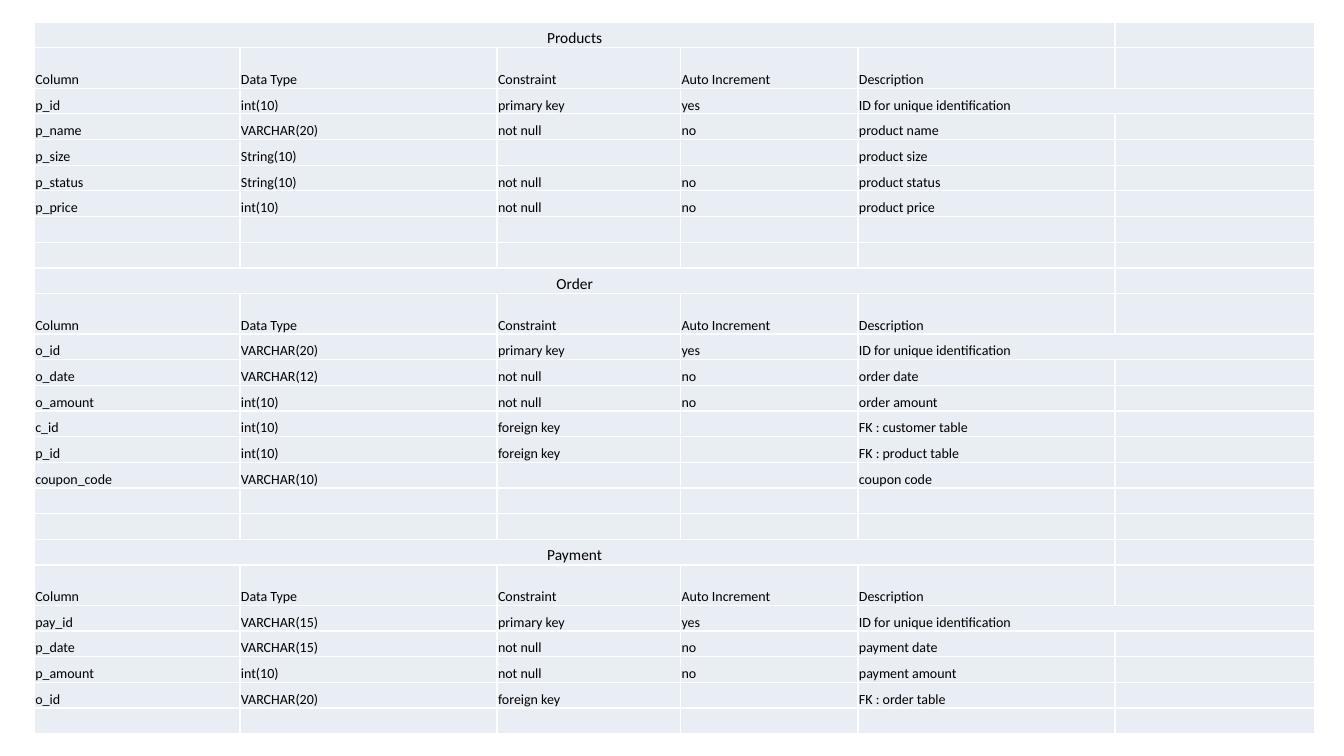
from dataclasses import dataclass

from lxml import etree
from pptx import Presentation, util as u
from pptx.dml.color import RGBColor
from pptx.enum import text
from pptx.oxml.ns import qn

HEADINGS = ("Column", "Data Type", "Constraint", "Auto Increment", "Description")
ID_NOTE = "ID for unique identification"

# (title, fields, empty rows after the fields)
SECTIONS = [
    ("Products", [
        ("p_id", "int(10)", "primary key", "yes", ID_NOTE),
        ("p_name", "VARCHAR(20)", "not null", "no", "product name"),
        ("p_size", "String(10)", "", "", "product size"),
        ("p_status", "String(10)", "not null", "no", "product status"),
        ("p_price", "int(10)", "not null", "no", "product price"),
    ], 2),
    ("Order", [
        ("o_id", "VARCHAR(20)", "primary key", "yes", ID_NOTE),
        ("o_date", "VARCHAR(12)", "not null", "no", "order date"),
        ("o_amount", "int(10)", "not null", "no", "order amount"),
        ("c_id", "int(10)", "foreign key", "", "FK : customer table"),
        ("p_id", "int(10)", "foreign key", "", "FK : product table"),
        ("coupon_code", "VARCHAR(10)", "", "", "coupon code"),
    ], 2),
    ("Payment", [
        ("pay_id", "VARCHAR(15)", "primary key", "yes", ID_NOTE),
        ("p_date", "VARCHAR(15)", "not null", "no", "payment date"),
        ("p_amount", "int(10)", "not null", "no", "payment amount"),
        ("o_id", "VARCHAR(20)", "foreign key", "", "FK : order table"),
    ], 1),
]

SLIDE = (13.33, 7.5)
LEFT, TOP, HEIGHT = 0.34, 0.22, 7.06
COLUMNS = (2.04, 2.55, 1.82, 1.76, 2.55, 1.98)
HEADING_HEIGHT = 0.4


@dataclass(frozen=True)
class Theme:
    font: str = "Calibri"
    ink: str = "000000"
    fill: str = "E9EDF4"
    rule: str = "FFFFFF"
    title_size: int = 11
    body_size: int = 10
    rule_width: int = 1
    inset: float = 0.01


THEME = Theme()


def write(cell, words, size=THEME.body_size, align=text.PP_ALIGN.LEFT):
    cell.vertical_anchor = text.MSO_ANCHOR.BOTTOM
    cell.margin_left = cell.margin_right = cell.margin_top = u.Inches(THEME.inset)
    cell.margin_bottom = 0
    p = cell.text_frame.paragraphs[0]
    p.alignment = align
    if words:
        r = p.add_run()
        r.text = words
        r.font.name = THEME.font
        r.font.size = u.Pt(size)
        r.font.color.rgb = RGBColor.from_string(THEME.ink)
    else:
        # An empty cell needs its own type size, or its row grows.
        etree.SubElement(p._p, qn("a:endParaRPr"), sz=str(size * 100))


def paint(cell):
    """Give the cell ruled sides and a plain fill."""
    tc_pr = cell._tc.get_or_add_tcPr()
    for side in ("lnL", "lnR", "lnT", "lnB"):
        ln = etree.SubElement(tc_pr, qn(f"a:{side}"), w=str(u.Pt(THEME.rule_width)))
        solid = etree.SubElement(ln, qn("a:solidFill"))
        etree.SubElement(solid, qn("a:srgbClr"), val=THEME.rule)
    cell.fill.solid()
    cell.fill.fore_color.rgb = RGBColor.from_string(THEME.fill)


def layout_rows():
    """List every table row as (kind, texts)."""
    rows = []
    for title, fields, gap in SECTIONS:
        rows += [("title", (title,)), ("heading", HEADINGS)]
        rows += [("field", field) for field in fields]
        rows += [("gap", ())] * gap
    return rows


def main():
    prs = Presentation()
    prs.slide_width, prs.slide_height = map(u.Inches, SLIDE)
    s = prs.slides.add_slide(prs.slide_layouts[6])

    rows = layout_rows()
    headings = len(SECTIONS)
    row_height = (HEIGHT - headings * HEADING_HEIGHT) / (len(rows) - headings)
    table = s.shapes.add_table(
        len(rows), len(COLUMNS), u.Inches(LEFT), u.Inches(TOP),
        u.Inches(sum(COLUMNS)), u.Inches(HEIGHT)).table
    table.first_row = table.horz_banding = False
    for column, width in zip(table.columns, COLUMNS):
        column.width = u.Inches(width)

    last = len(COLUMNS) - 1
    for i, (kind, texts) in enumerate(rows):
        is_title = kind == "title"
        table.rows[i].height = u.Inches(
            HEADING_HEIGHT if kind == "heading" else row_height)
        for j in range(len(COLUMNS)):
            cell = table.cell(i, j)
            paint(cell)
            write(cell, texts[j] if j < len(texts) else "",
                  size=THEME.title_size if is_title else THEME.body_size,
                  align=text.PP_ALIGN.CENTER if is_title else text.PP_ALIGN.LEFT)
        if is_title:
            table.cell(i, 0).merge(table.cell(i, last - 1))
        elif ID_NOTE in texts:
            table.cell(i, last - 1).merge(table.cell(i, last))

    prs.save("out.pptx")


if __name__ == "__main__":
    main()
